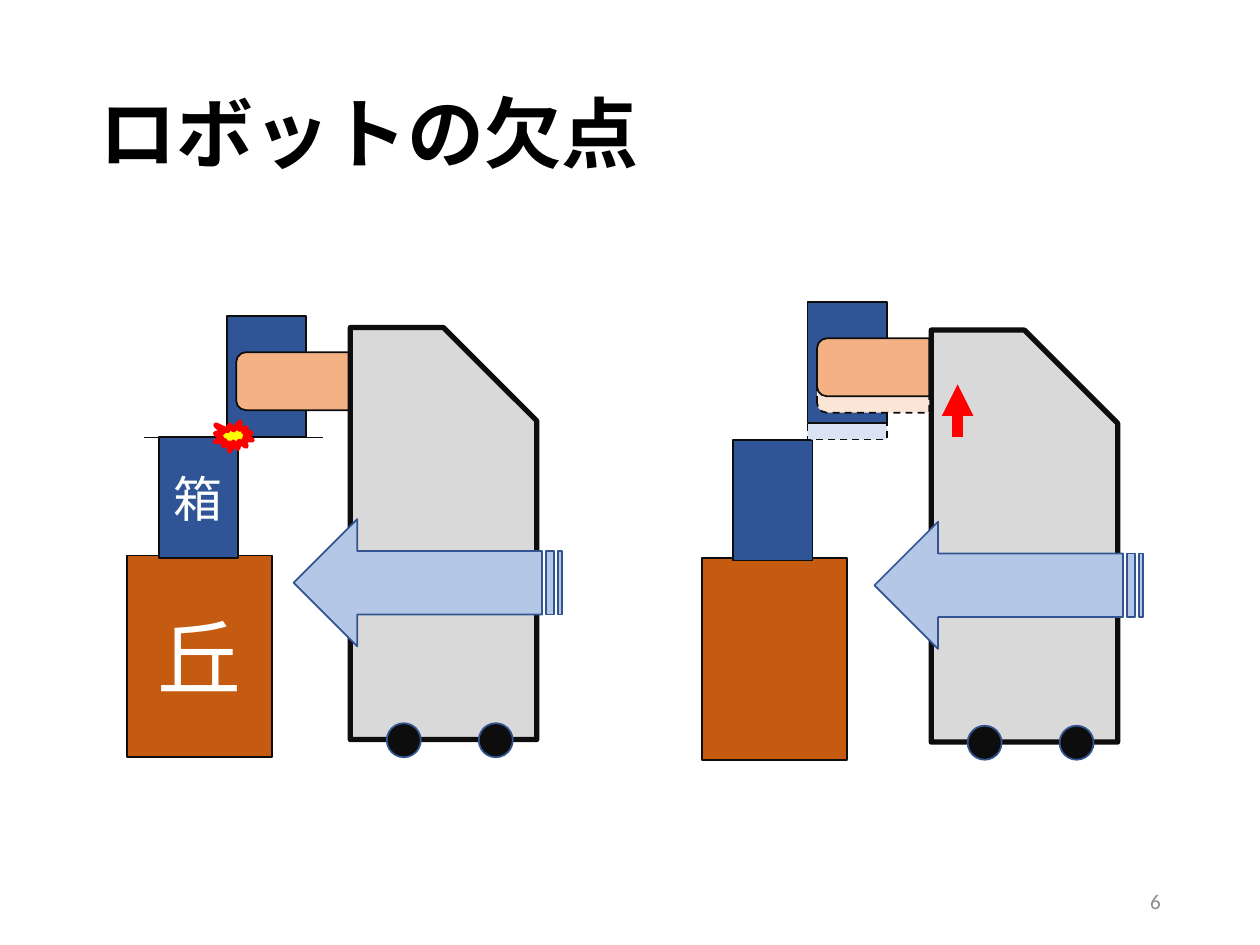
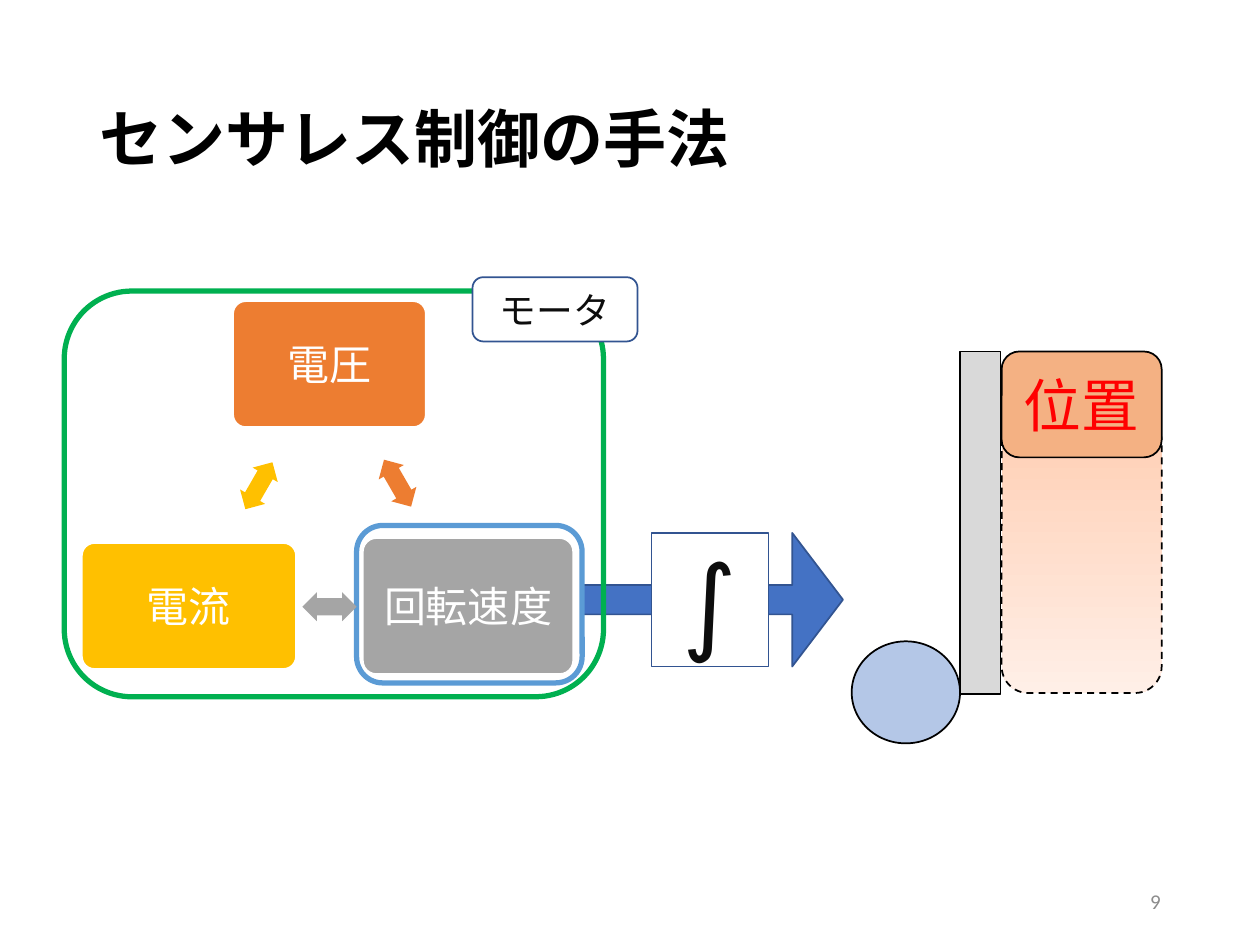
from dataclasses import dataclass

from lxml.etree import SubElement
from pptx import Presentation
from pptx.dml.color import RGBColor as Rgb
from pptx.enum.dml import MSO_LINE as Dash
from pptx.enum.shapes import MSO_CONNECTOR as Link, MSO_SHAPE as Kind
from pptx.enum.text import MSO_ANCHOR as Anchor, MSO_AUTO_SIZE as Fit, PP_ALIGN as Align
from pptx.oxml.ns import qn
from pptx.util import Inches, Pt


@dataclass(frozen=True)
class Theme:
    """Colours, fonts and type sizes of the deck."""
    black: str = "000000"
    ink: str = "0D0D0D"
    white: str = "FFFFFF"
    grey: str = "8C8C8C"
    red: str = "FF0000"
    yellow: str = "FFFF00"
    green: str = "00B050"
    hill: str = "C55A11"
    navy: str = "2F5597"
    edge: str = "325491"
    blue: str = "4472C4"
    sky: str = "5B9BD5"
    pale: str = "B4C7E7"
    ice: str = "DAE3F3"
    body: str = "D9D9D9"
    arm: str = "F4B183"
    blush: str = "FBE5D6"
    volt: str = "ED7D31"
    amp: str = "FFC000"
    speed: str = "A5A5A5"
    trail: tuple = ("FFCEB3", "FFEFE7")
    font: str = "Calibri"
    sign: str = "Comic Neue"
    note: int = 12
    label: int = 21
    node: int = 24
    box: int = 28
    place: int = 33
    mound: int = 48
    sum: int = 60


T = Theme()


def style(frame, size, color, align, font=T.font, bold=False):
    """Format the only paragraph of a text frame."""
    frame.vertical_anchor = Anchor.MIDDLE
    para = frame.paragraphs[0]
    para.alignment = align
    for run in para.runs:
        run.font.size = Pt(size)
        run.font.name = font
        run.font.bold = bold
        run.font.color.rgb = Rgb.from_string(color)


def draw(slide, kind, box, fill=None, line=None, width=1, dash=False, turn=0, adj=()):
    """Add a preset shape with its fill, outline and rotation."""
    shape = slide.shapes.add_shape(kind, *map(Inches, box))
    shape.shadow.inherit = False
    shape.rotation = turn
    for i, value in enumerate(adj):
        shape.adjustments[i] = value
    if fill:
        shape.fill.solid()
        shape.fill.fore_color.rgb = Rgb.from_string(fill)
    else:
        shape.fill.background()
    if line:
        shape.line.color.rgb = Rgb.from_string(line)
        shape.line.width = Pt(width)
    else:
        shape.line.fill.background()
    if dash:
        shape.line.dash_style = Dash.DASH
    return shape


def write(shape, text, size, color=T.white, font=T.font):
    """Centre a label in a shape."""
    shape.text_frame.text = text
    style(shape.text_frame, size, color, Align.CENTER, font)


def rule(slide, start, end, color, width, head=False):
    """Add a straight line, with an arrowhead if asked."""
    link = slide.shapes.add_connector(Link.STRAIGHT, *map(Inches, (*start, *end)))
    link.line.color.rgb = Rgb.from_string(color)
    link.line.width = Pt(width)
    if head:
        SubElement(link.line._get_or_add_ln(), qn("a:tailEnd"), type="triangle")
    SubElement(link._element.spPr, qn("a:effectLst"))


def start(deck, title, size, top, page):
    """Add a slide with its title and page number."""
    slide = deck.slides.add_slide(deck.slide_layouts[5])
    head = slide.shapes.title
    head.left, head.top, head.width, head.height = map(Inches, (0.69, top, 8.62, 1.45))
    head.text_frame.text = title
    head.text_frame.auto_size = Fit.NONE
    head.text_frame.paragraphs[0].line_spacing = 0.9
    style(head.text_frame, size, T.black, Align.LEFT, bold=True)
    foot = slide.shapes.add_textbox(*map(Inches, (7.06, 6.95, 2.25, 0.4))).text_frame
    foot.word_wrap = True
    foot.text = page
    style(foot, T.note, T.grey, Align.RIGHT)
    return slide


def mound(slide, x, y, names=None):
    """Draw a hill with a box on top."""
    hill = draw(slide, Kind.RECTANGLE, (x, y, 1.15, 1.6), T.hill, T.ink)
    crate = draw(slide, Kind.RECTANGLE, (x + 0.25, y - 0.94, 0.63, 0.96), T.navy, T.ink)
    if names:
        write(hill, names[0], T.mound)
        write(crate, names[1], T.box)


def robot(slide, x, y, lift=0):
    """Draw a moving robot whose arm holds a box, raised by lift."""
    def crate(rise, fill, dash=False):
        draw(slide, Kind.RECTANGLE, (x - 0.98, y - 0.09 - rise, 0.63, 0.96), fill, T.ink, dash=dash)

    def arm(rise, fill, dash=False):
        draw(slide, Kind.ROUND_2_SAME_RECTANGLE, (x - 0.69, y - 0.02 - rise, 0.46, 0.89),
             fill, T.ink, dash=dash, turn=270)

    if lift:
        crate(0, T.ice, True)
    crate(lift, T.navy)
    draw(slide, Kind.SNIP_1_RECTANGLE, (x, y, 1.48, 3.27), T.body, T.ink, 3, adj=[0.5])
    if lift:
        arm(0, T.blush, True)
    for step in (0.29, 1.02):
        draw(slide, Kind.OVAL, (x + step, y + 3.14, 0.27, 0.27), T.ink, T.edge)
    arm(lift, T.arm)
    draw(slide, Kind.STRIPED_RIGHT_ARROW, (x - 0.45, y + 1.52, 2.13, 1.01), T.pale, T.edge, turn=180)


def clash(slide, x, y):
    """Mark the level and the point where the boxes hit."""
    rule(slide, (x + 1.42, y), (x, y), T.ink, 0.5)
    draw(slide, Kind.EXPLOSION1, (x + 0.57, y - 0.12, 0.29, 0.23), T.yellow, T.red, 3)


def flaw(deck):
    """Build the slide on the robot's weak point."""
    slide = start(deck, "ロボットの欠点", 44, 0.37, "6")
    mound(slide, 5.57, 4.43)
    robot(slide, 7.39, 2.62, lift=0.13)
    mound(slide, 1.01, 4.41, ("丘", "箱"))
    robot(slide, 2.78, 2.6)
    clash(slide, 1.14, 3.47)
    rule(slide, (7.6, 3.47), (7.6, 3.05), T.red, 6, head=True)


def cycle(slide, x, y):
    """Draw the three linked motor values."""
    nodes = (("電圧", T.volt, (1.2, 0, 1.53, 1), (2.29, 1.33), 60),
             ("回転速度", T.speed, (2.23, 1.88, 1.67, 1.08), (1.75, 2.31), 180),
             ("電流", T.amp, (0, 1.92, 1.7, 1), (1.19, 1.35), 300))
    for name, color, (dx, dy, w, h), (ax, ay), turn in nodes:
        node = draw(slide, Kind.ROUNDED_RECTANGLE, (x + dx, y + dy, w, h), color, T.white, adj=[0.1])
        write(node, name, T.node)
        draw(slide, Kind.LEFT_RIGHT_ARROW, (x + ax, y + ay, 0.43, 0.23), color,
             turn=turn, adj=[0.6, 0.5])


def lift(slide, x, y):
    """Draw the wheel, the mast and the arm that climbs it."""
    draw(slide, Kind.OVAL, (x, y + 2.3, 0.86, 0.81), T.pale, T.black)
    draw(slide, Kind.RECTANGLE, (x + 0.86, y, 0.32, 2.72), T.body, T.black)
    trail = draw(slide, Kind.ROUNDED_RECTANGLE, (x + 1.19, y + 0.5, 1.27, 2.21),
                 line=T.black, dash=True)
    trail.fill.gradient()
    trail.fill.gradient_angle = 270
    for stop, color in zip(trail.fill.gradient_stops, T.trail):
        stop.color.rgb = Rgb.from_string(color)
    arm = draw(slide, Kind.ROUNDED_RECTANGLE, (x + 1.19, y, 1.27, 0.84), T.arm, T.black)
    write(arm, "位置", T.place, T.red)


def motor(slide, x, y):
    """Draw the motor's frame and its name tag."""
    draw(slide, Kind.ROUNDED_RECTANGLE, (x, y, 4.28, 3.22), line=T.green, width=3)
    tag = draw(slide, Kind.ROUNDED_RECTANGLE, (x + 3.24, y - 0.11, 1.31, 0.51), T.white, T.edge)
    write(tag, "モータ", T.label, T.ink)


def method(deck):
    """Build the slide on sensorless control."""
    slide = start(deck, "センサレス制御の手法", 36, 0.4, "9")
    draw(slide, Kind.RIGHT_ARROW, (4.47, 4.23, 2.22, 1.06), T.blue, T.edge, adj=[0.22, 0.38])
    draw(slide, Kind.ROUNDED_RECTANGLE, (2.83, 4.17, 1.79, 1.25), T.white, T.sky, 3)
    cycle(slide, 0.65, 2.39)
    total = draw(slide, Kind.RECTANGLE, (5.17, 4.23, 0.93, 1.06), T.white, T.edge)
    write(total, "∫", T.sum, T.ink, T.sign)
    lift(slide, 6.76, 2.79)
    motor(slide, 0.51, 2.31)


def main():
    """Build and save the deck."""
    deck = Presentation()
    deck.slide_width, deck.slide_height = Inches(10), Inches(7.5)
    flaw(deck)
    method(deck)
    deck.save("out.pptx")


if __name__ == "__main__":
    main()
